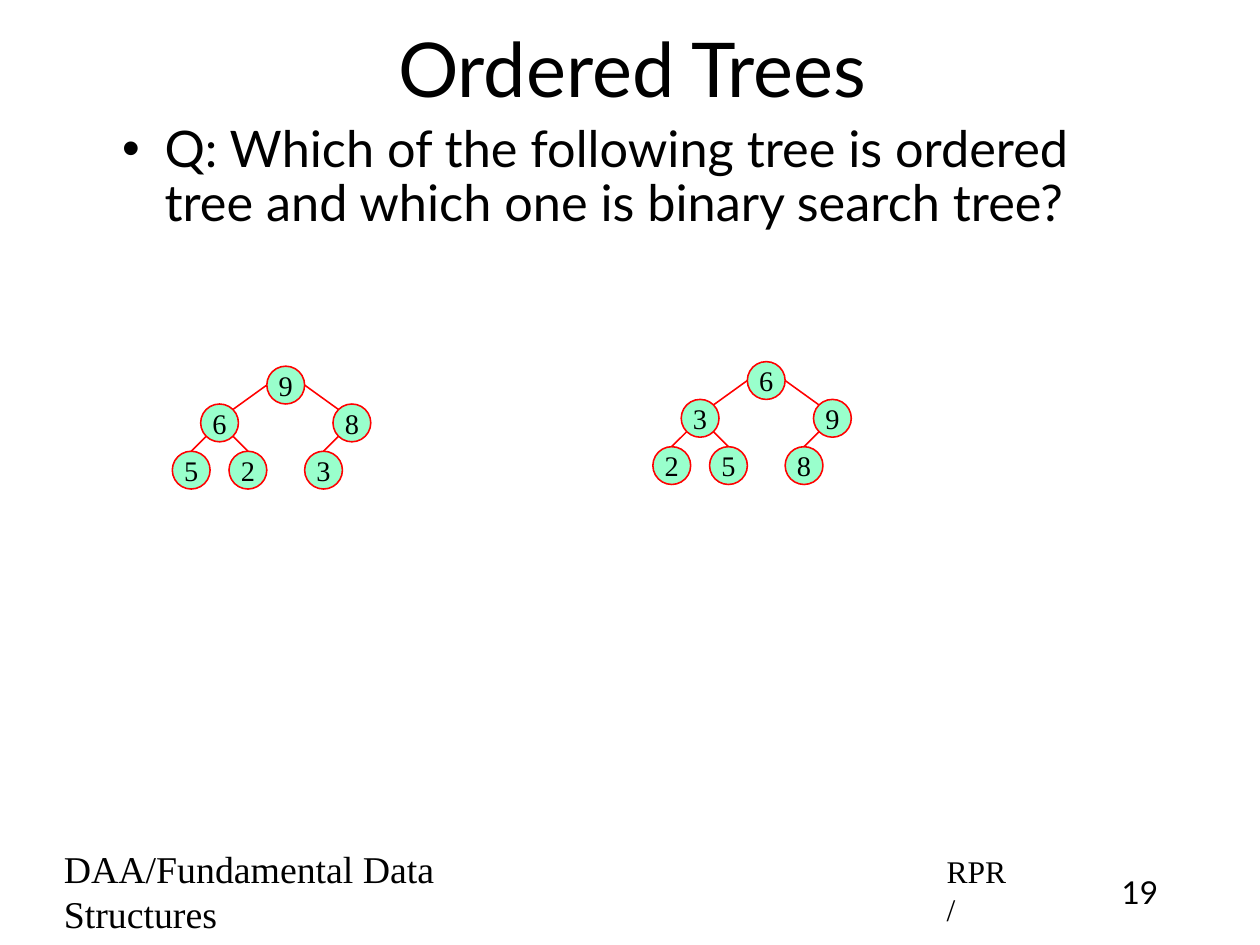
import math

import pptx
import pptx.dml.color
import pptx.enum.shapes
import pptx.enum.text
import pptx.util
from lxml import etree

Pt = pptx.util.Pt
ALIGN = pptx.enum.text.PP_ALIGN
ANCHOR = pptx.enum.text.MSO_ANCHOR

SANS = "Lato"
SERIF = "Times New Roman"
BLACK = "000000"
NODE_FILL = "99FFCC"
TREE_LINE = "FF0000"
INSET = 4.5
RADIUS = 12
DIAGONAL = RADIUS * math.sqrt(0.5)

# Node centres relative to the root: root, its two children, three leaves
NODE_OFFSETS = [(0, 0), (-42, 24), (42, 24), (-60, 54), (-24, 54), (24, 54)]
# Parent, child, side of the parent on which the child hangs
ROOT_EDGES = [(0, 1, -1), (0, 2, 1)]
LEAF_EDGES = [(1, 3, -1), (1, 4, 1), (2, 5, -1)]
TREES = [(181.4, 244.5, "968523"), (486.5, 241.6, "639258")]


def color(hex_string):
    return pptx.dml.color.RGBColor.from_string(hex_string)


def write_text(frame, text, size, font=SANS, align=ALIGN.LEFT, anchor=ANCHOR.TOP,
               inset=INSET, right_inset=None, wrap=True, margin=0, indent=0,
               line_spacing=1.0, space_before=0):
    frame.auto_size = pptx.enum.text.MSO_AUTO_SIZE.NONE
    frame.word_wrap = wrap
    frame.vertical_anchor = anchor
    frame.margin_left = frame.margin_top = frame.margin_bottom = Pt(inset)
    frame.margin_right = Pt(inset if right_inset is None else right_inset)
    para = frame.paragraphs[0]
    para.alignment = align
    para.line_spacing = line_spacing
    para.space_before = Pt(space_before)
    properties = para._p.get_or_add_pPr()
    properties.set("marL", str(Pt(margin)))
    properties.set("indent", str(Pt(indent)))
    span = para.add_run()
    span.text = text
    span.font.size = Pt(size)
    span.font.name = font
    span.font.color.rgb = color(BLACK)


def fill_placeholder(box, left, top, width, height, text, **text_format):
    box.left, box.top, box.width, box.height = map(Pt, (left, top, width, height))
    write_text(box.text_frame, text, **text_format)


def add_text(page, left, top, width, height, text, **text_format):
    box = page.shapes.add_textbox(Pt(left), Pt(top), Pt(width), Pt(height))
    write_text(box.text_frame, text, **text_format)


def add_node(page, x, y, label):
    node = page.shapes.add_shape(
        pptx.enum.shapes.MSO_SHAPE.OVAL,
        Pt(x - RADIUS), Pt(y - RADIUS), Pt(2 * RADIUS), Pt(2 * RADIUS))
    node.shadow.inherit = False
    node.fill.solid()
    node.fill.fore_color.rgb = color(NODE_FILL)
    node.line.color.rgb = color(TREE_LINE)
    node.line.width = Pt(1)
    write_text(node.text_frame, label, size=18, font=SERIF, align=ALIGN.CENTER,
               anchor=ANCHOR.MIDDLE, inset=0, wrap=False)


def add_edge(page, start_x, start_y, end_x, end_y):
    edge = page.shapes.add_connector(
        pptx.enum.shapes.MSO_CONNECTOR.STRAIGHT,
        Pt(start_x), Pt(start_y), Pt(end_x), Pt(end_y))
    edge.line.color.rgb = color(TREE_LINE)
    edge.line.width = Pt(1)
    etree.SubElement(edge._element.spPr, pptx.oxml.ns.qn("a:effectLst"))


def add_tree(page, root_x, root_y, labels):
    centres = [(root_x + dx, root_y + dy) for dx, dy in NODE_OFFSETS]
    for (x, y), label in zip(centres, labels):
        add_node(page, x, y, label)
    for parent, child, side in ROOT_EDGES:
        (x, y), (child_x, child_y) = centres[parent], centres[child]
        add_edge(page, x + side * RADIUS, y,
                 child_x - side * DIAGONAL, child_y - DIAGONAL)
    for parent, child, side in LEAF_EDGES:
        (x, y), (child_x, child_y) = centres[parent], centres[child]
        add_edge(page, x + side * DIAGONAL, y + DIAGONAL,
                 child_x, child_y - RADIUS)


def main():
    deck = pptx.Presentation()
    deck.slide_width, deck.slide_height = Pt(800), Pt(600)
    page = deck.slides.add_slide(deck.slide_layouts[1])

    fill_placeholder(page.shapes.title, 60, 5, 680, 75, "Ordered Trees",
                     size=48, align=ALIGN.CENTER, anchor=ANCHOR.MIDDLE, margin=3)
    fill_placeholder(
        page.placeholders[1], 70, 74, 660, 85,
        "Q: Which of the following tree is ordered tree and which one is binary search tree?",
        size=32, margin=30, indent=-27, line_spacing=0.9, space_before=7)

    add_text(page, 700, 550, 47.5, 30, "19", size=20, align=ALIGN.CENTER)
    footer = {"font": SERIF, "anchor": ANCHOR.MIDDLE, "margin": 3, "right_inset": 9}
    add_text(page, 33, 548.5, 350.5, 34, "DAA/Fundamental Data Structures",
             size=24, **footer)
    add_text(page, 593.5, 550, 55.5, 30, "RPR/", size=20, **footer)

    for root_x, root_y, labels in TREES:
        add_tree(page, root_x, root_y, labels)
    deck.save("out.pptx")


if __name__ == "__main__":
    main()
